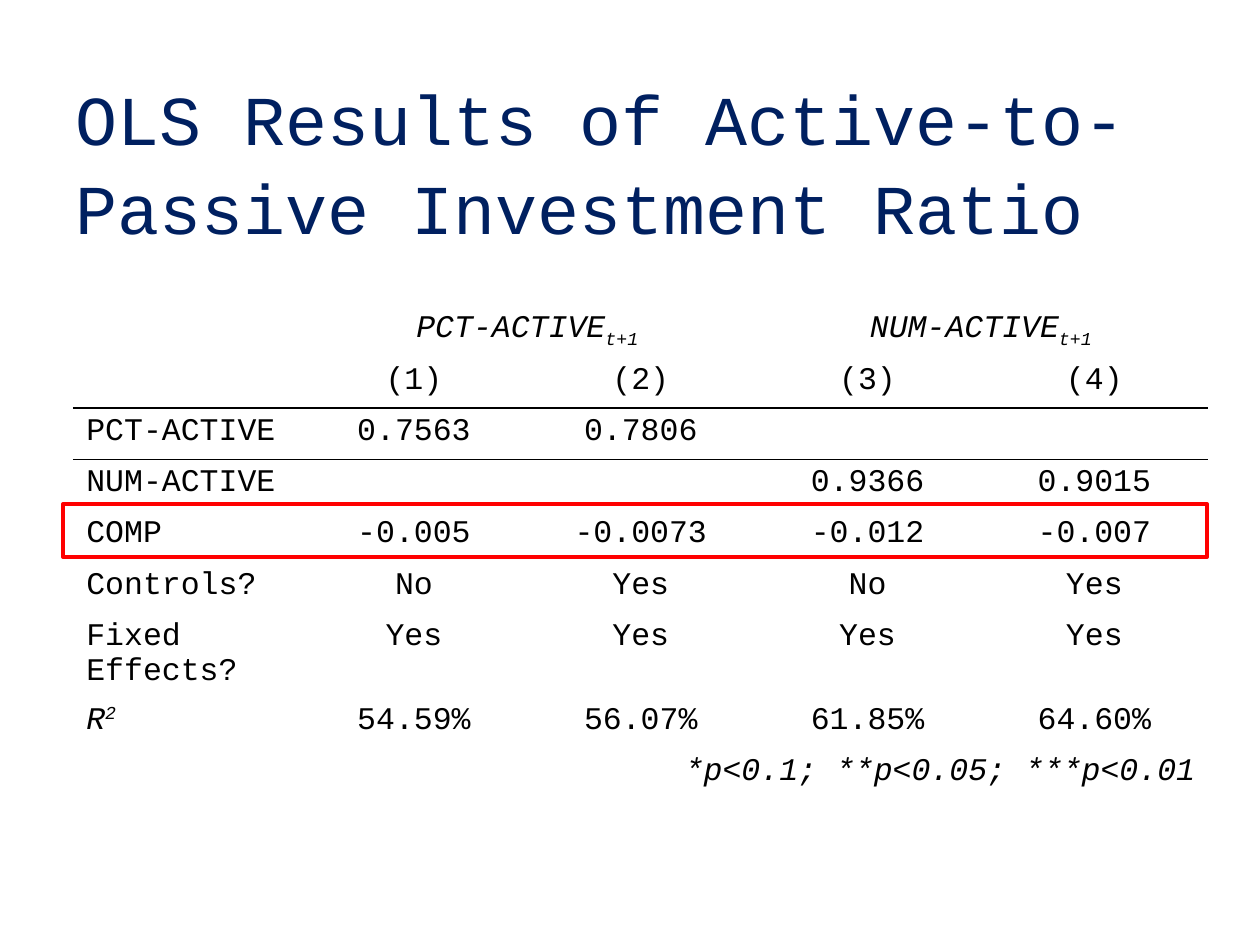
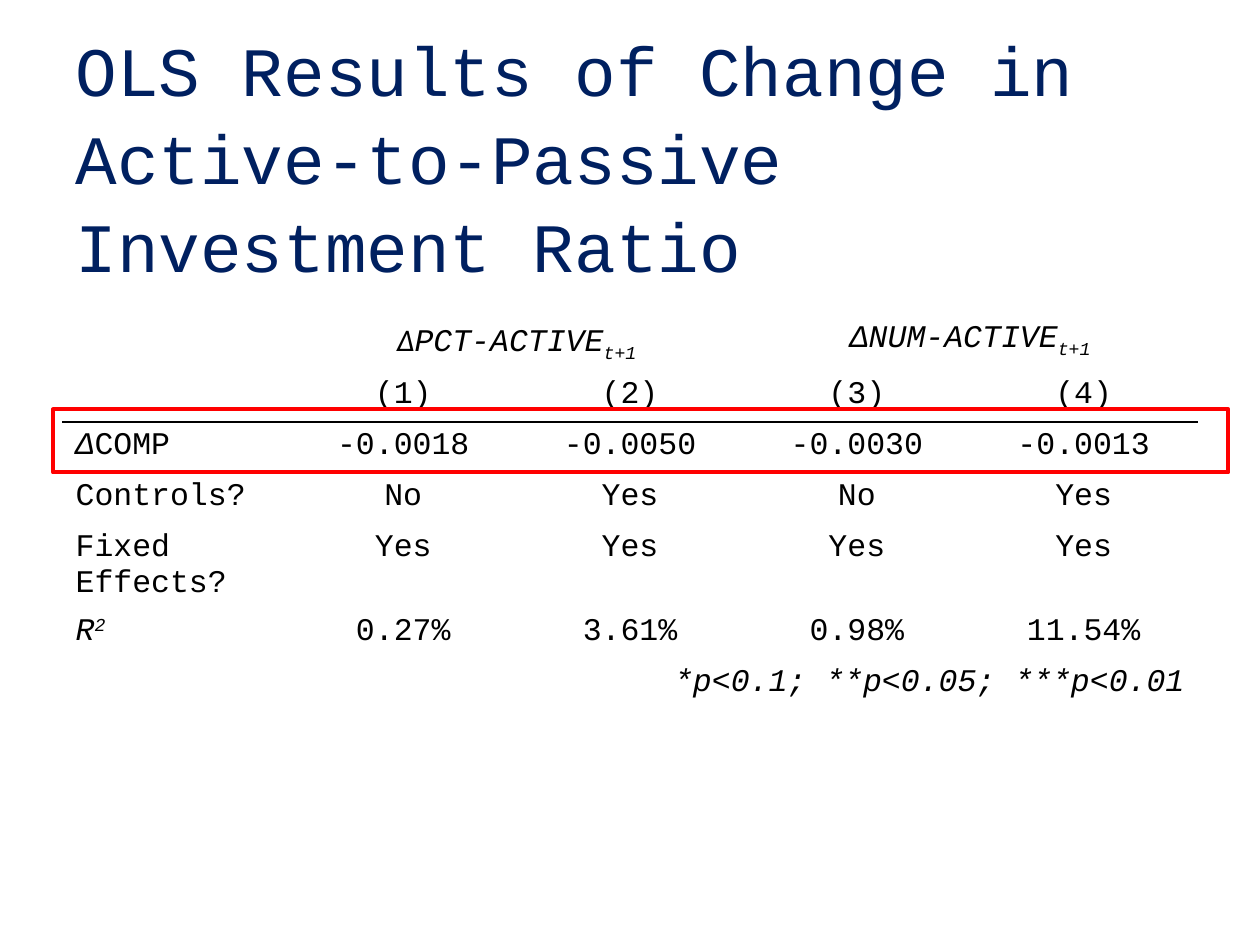
from lxml import etree
from pptx import Presentation
from pptx.dml.color import RGBColor
from pptx.enum.shapes import MSO_SHAPE
from pptx.enum.text import MSO_ANCHOR, MSO_AUTO_SIZE, PP_ALIGN
from pptx.oxml.ns import qn
from pptx.util import Inches, Pt

LEFT, CENTER, RIGHT = PP_ALIGN.LEFT, PP_ALIGN.CENTER, PP_ALIGN.RIGHT
MIDDLE, NO_FIT = MSO_ANCHOR.MIDDLE, MSO_AUTO_SIZE.NONE
RECT = MSO_SHAPE.RECTANGLE
MONO, SANS = "Courier New", "Calibri"
NAVY, BLACK, RED = "002060", "000000", "FF0000"
GRID_COLS, GRID_ROWS = 100, 75
TITLE_ONLY = 5
SUB, SUPER = -25000, 30000
LEAD = ("t+1", {"italic": True}, SUB)
R_SQUARED = [("R", {"italic": True}), ("2", {"italic": True}, SUPER)]
P_NOTE = [("*p<0.1; **p<0.05; ***p<0.01", {"italic": True})]
MODEL_NUMBERS = ["", "(1)", "(2)", "(3)", "(4)"]
CONTROLS = ["Controls?", "No", "Yes", "No", "Yes"]
FIXED_EFFECTS = ["Fixed Effects?"] + ["Yes"] * 4


def color(value):
    return RGBColor.from_string(value)


def set_format(target, values):
    for name, value in values.items():
        setattr(target, name, value)


class Deck:
    def __init__(self):
        self.prs = Presentation()
        self.prs.slide_width, self.prs.slide_height = Inches(10), Inches(7.5)
        self.s = None

    def box(self, x, y, w, h):
        col = self.prs.slide_width / GRID_COLS
        row = self.prs.slide_height / GRID_ROWS
        return [round(v) for v in (x * col, y * row, w * col, h * row)]

    def add_runs(self, p, runs, size, hex_color, align):
        p.alignment = align
        for text, extra, *baseline in runs:
            r = p.add_run()
            r.text = text
            set_format(r.font, {"name": MONO, "size": Pt(size), **extra})
            r.font.color.rgb = color(hex_color)
            if baseline:
                r.font._element.set("baseline", str(baseline[0]))

    def slide(self, title, rows, size):
        self.s = self.prs.slides.add_slide(self.prs.slide_layouts[TITLE_ONLY])
        sp = self.s.shapes.title
        sp.left, sp.top, sp.width, sp.height = self.box(5, 3, 90, rows)
        tf = sp.text_frame
        set_format(tf, {"vertical_anchor": MIDDLE, "auto_size": NO_FIT,
                        "word_wrap": True, "margin_top": Inches(0.2)})
        tf.paragraphs[0].line_spacing = 1.06
        self.add_runs(tf.paragraphs[0], [(title, {})], size, NAVY, LEFT)

    def border(self, cell, side):
        ln = etree.Element(qn(f"a:{side}"), w=str(Pt(1)))
        fill = etree.SubElement(ln, qn("a:solidFill"))
        etree.SubElement(fill, qn("a:srgbClr"), val=BLACK)
        cell._tc.get_or_add_tcPr().insert(0, ln)

    def table(self, x, y, rows, rules):
        row_height = Pt(29.2)
        left, top, width, _ = self.box(x, y, 90, 0)
        tbl = self.s.shapes.add_table(len(rows), 5, left, top, width,
                                      row_height * len(rows)).table
        set_format(tbl, {"first_row": False, "horz_banding": False})
        for i, row in enumerate(rows):
            tbl.rows[i].height = row_height
            for j, content in enumerate(row):
                cell = tbl.cell(i, j)
                cell.fill.background()
                if i + 1 in rules:
                    self.border(cell, "lnB")
                if i in rules:
                    self.border(cell, "lnT")
                if content:
                    runs = [(content, {})] if isinstance(content, str) else content
                    align = RIGHT if content is P_NOTE else CENTER if j else LEFT
                    self.add_runs(cell.text_frame.paragraphs[0], runs, 18, BLACK, align)
        for first, last in ((1, 2), (3, 4)):
            tbl.cell(0, first).merge(tbl.cell(0, last))
        tbl.cell(len(rows) - 1, 0).merge(tbl.cell(len(rows) - 1, 4))

    def highlight(self, x, y, w, h):
        sp = self.s.shapes.add_shape(RECT, *self.box(x, y, w, h))
        sp.shadow.inherit = False
        sp.fill.background()
        sp.line.color.rgb = color(RED)
        sp.line.width = Pt(2.25)


def header(pct, num):
    return ["", pct + [LEAD], "", num + [LEAD], ""]


def main():
    italic = {"italic": True}
    delta = ("Δ", {"italic": True, "name": SANS})
    note_row = [P_NOTE, "", "", "", ""]
    deck = Deck()

    deck.slide("OLS Results of Active-to-Passive Investment Ratio", 17.8, 40)
    deck.table(5.85, 24.2, [
        header([("PCT-ACTIVE", italic)], [("NUM-ACTIVE", italic)]),
        MODEL_NUMBERS,
        ["PCT-ACTIVE", "0.7563", "0.7806", "", ""],
        ["NUM-ACTIVE", "", "", "0.9366", "0.9015"],
        ["COMP", "-0.005", "-0.0073", "-0.012", "-0.007"],
        CONTROLS,
        FIXED_EFFECTS,
        [R_SQUARED, "54.59%", "56.07%", "61.85%", "64.60%"],
        note_row,
    ], rules=(2, 3))
    deck.highlight(5, 40, 90.8, 4.2)

    deck.slide("OLS Results of Change in Active-to-Passive Investment Ratio", 17, 39.6)
    deck.table(5, 25, [
        header([delta, ("PCT-ACTIVE", italic)], [("ΔNUM-ACTIVE", italic)]),
        MODEL_NUMBERS,
        [[("Δ", italic), ("COMP", {})], "-0.0018", "-0.0050", "-0.0030", "-0.0013"],
        CONTROLS,
        FIXED_EFFECTS,
        [R_SQUARED, "0.27%", "3.61%", "0.98%", "11.54%"],
        note_row,
    ], rules=(2,))
    deck.highlight(4.2, 32.5, 93.3, 5)

    deck.prs.save("out.pptx")


if __name__ == "__main__":
    main()
